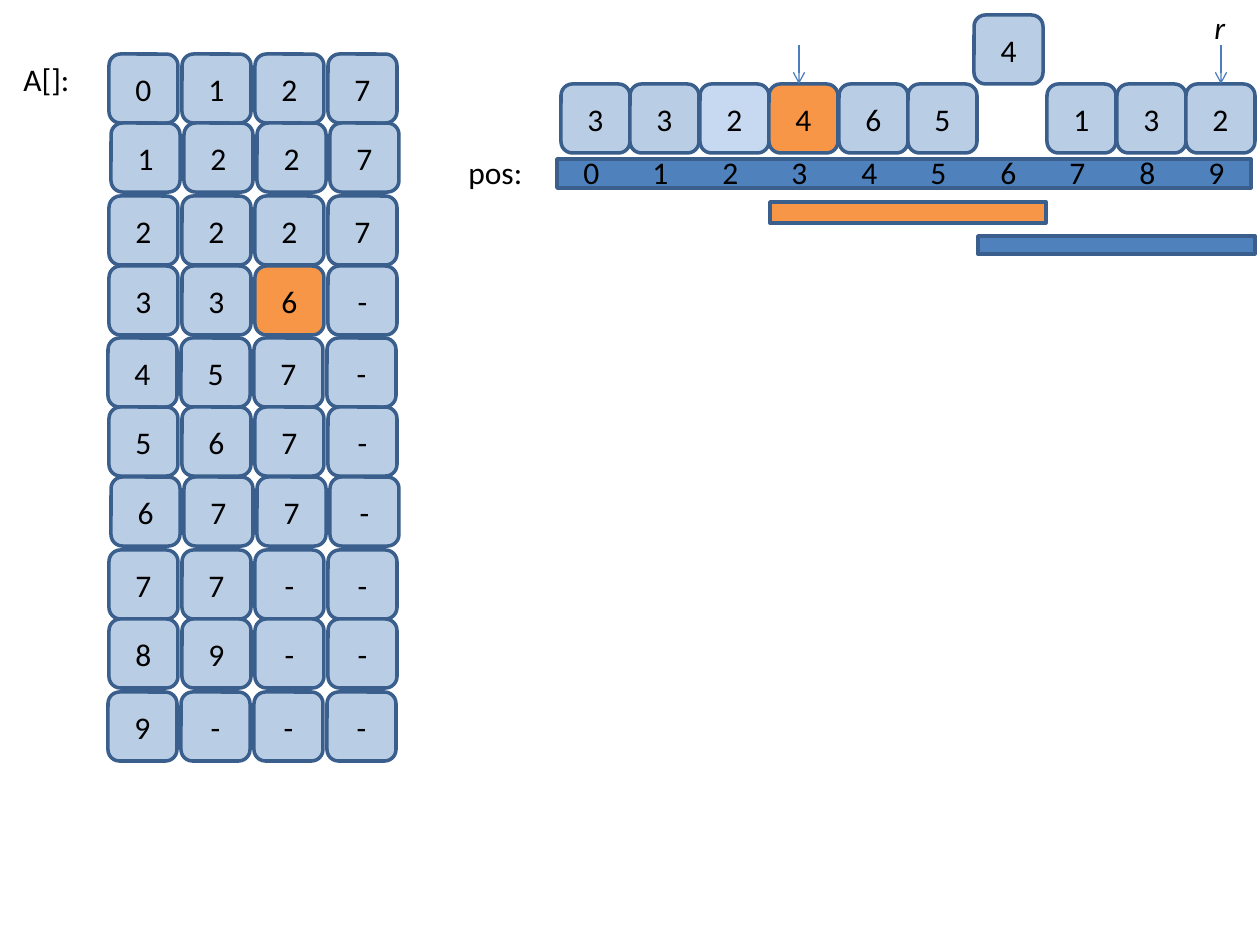
import pptx
import pptx.util
import pptx.dml.color
import pptx.enum.shapes
import pptx.enum.text
import pptx.oxml.ns
import lxml.etree

SCALE = 914400 / 126
CELL = 69
COLORS = {"cell": "B9CDE5", "pale": "C6D9F1", "orange": "F79646", "blue": "4F81BD",
          "border": "3A5F8C", "arrow": "4B7EBC", "text": "000000"}
SHAPE = pptx.enum.shapes.MSO_SHAPE


def px(n):
    """Turn pixels into EMU."""
    return pptx.util.Emu(round(n * SCALE))


def rgb(name):
    """Look up a named colour."""
    return pptx.dml.color.RGBColor.from_string(COLORS[name])


def write(tf, text, align=None, italic=None, size=18):
    """Write one formatted line of text into a frame."""
    p = tf.paragraphs[0]
    p.alignment = align
    r = p.add_run()
    r.text = text
    r.font.name = "Calibri"
    r.font.size = pptx.util.Pt(size)
    r.font.italic = italic
    r.font.color.rgb = rgb("text")


def label(s, text, x, y, w, h=50, **fmt):
    """Add a free label that does not wrap."""
    tf = s.shapes.add_textbox(px(x), px(y), px(w), px(h)).text_frame
    tf.word_wrap = False
    tf.auto_size = pptx.enum.text.MSO_AUTO_SIZE.SHAPE_TO_FIT_TEXT
    write(tf, text, **fmt)


def box(s, x, y, w, h, fill, kind=SHAPE.RECTANGLE):
    """Add a filled, outlined shape."""
    sp = s.shapes.add_shape(kind, px(x), px(y), px(w), px(h))
    sp.shadow.inherit = False
    sp.fill.solid()
    sp.fill.fore_color.rgb = rgb(fill)
    sp.line.color.rgb = rgb("border")
    sp.line.width = pptx.util.Pt(2)
    return sp


def cell(s, text, x, y, fill="cell"):
    """Add one rounded array cell with a centred value."""
    tf = box(s, x, y, CELL, CELL, fill, SHAPE.ROUNDED_RECTANGLE).text_frame
    tf.vertical_anchor = pptx.enum.text.MSO_ANCHOR.MIDDLE
    write(tf, text, align=pptx.enum.text.PP_ALIGN.CENTER)


def arrow(s, x, top, bottom):
    """Add a thin arrow pointing down."""
    c = s.shapes.add_connector(pptx.enum.shapes.MSO_CONNECTOR.STRAIGHT,
                               px(x), px(top), px(x), px(bottom))
    c.line.color.rgb = rgb("arrow")
    c.line.width = pptx.util.Pt(0.75)
    qn = pptx.oxml.ns.qn
    lxml.etree.SubElement(c.line._get_or_add_ln(), qn("a:tailEnd"), type="arrow")
    lxml.etree.SubElement(c._element.spPr, qn("a:effectLst"))


def sequence(s, left, top, values, step, fills, lifted):
    """Draw the sequence, its position bar, pointers and range bars."""
    n = len(values)
    for k in range(n):
        i = (k + n - 2) % n
        dx, dy = (-4, -CELL) if i == lifted else (0, 0)
        cell(s, values[i], left + round(i * step) + dx, top + dy, fills.get(i, "cell"))
    for dx in (238, 660):
        arrow(s, left + dx, top - 39, top)
    label(s, "r", left + 641, top - 82, 37, italic=True)
    box(s, left - 4, top + 75, 694, 29, "blue")
    for i in range(n):
        label(s, str(i), left + 10 + round(i * step), top + 63, 42)
    label(s, "pos:", left - 105, top + 63, 79)
    box(s, left + 209, top + 118, 276, 21, "orange")
    box(s, left + 417, top + 152, 277, 18, "blue")


def table_a(s, left, top, rows, marked):
    """Draw array A as rows of cells below its first row."""
    label(s, "A[]:", left - 98, top, 72)
    for i, (dx, dy, values) in enumerate(rows):
        for j, value in enumerate(values):
            fill = "orange" if (i, j) == marked else "cell"
            cell(s, value, left + dx + 73 * j, top + dy, fill)


# Each row: horizontal nudge, offset from the top, cell values
ROWS = [(0, 0, "0127"), (2, 69, "1227"), (0, 142, "2227"), (0, 212, "336-"),
        (-1, 284, "457-"), (0, 353, "567-"), (2, 423, "677-"), (0, 496, "77--"),
        (0, 565, "89--"), (-1, 638, "9---")]

prs = pptx.Presentation()
prs.slide_width, prs.slide_height = px(1260), px(945)
s = prs.slides.add_slide(prs.slide_layouts[6])
sequence(s, 561, 84, "3324654132", 69.45, {2: "pale", 3: "orange"}, lifted=6)
table_a(s, 109, 54, ROWS, marked=(3, 2))
prs.save("out.pptx")
